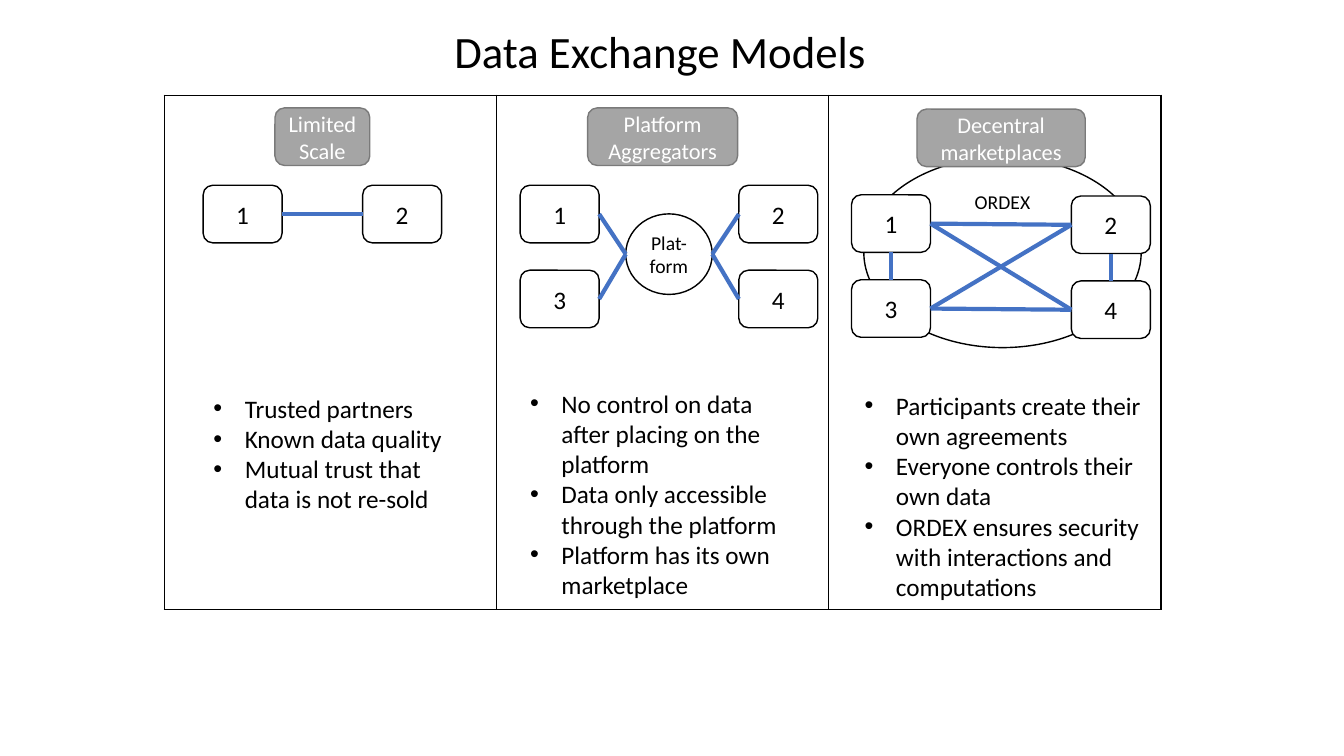
from dataclasses import dataclass, field
from typing import Any

from lxml.etree import SubElement
from pptx import Presentation
from pptx.dml.color import RGBColor
from pptx.enum.shapes import MSO_CONNECTOR as Connector
from pptx.enum.shapes import MSO_SHAPE as Shape
from pptx.enum.text import MSO_ANCHOR as Anchor
from pptx.enum.text import PP_ALIGN as Align
from pptx.oxml.ns import qn
from pptx.util import Cm, Pt

FONT = "Calibri"
BLACK, WHITE, BLUE = "000000", "FFFFFF", "4472C4"
GREY, DARK_GREY = "A5A5A5", "7A7A7A"
TOP, LEFT, BOTTOM, RIGHT = range(4)
NODE_W, NODE_H, ROW_PITCH = 1.99, 1.45, 2.14
BULLET_INDENT = 0.79


@dataclass
class Box:
    """Position and size in centimetres."""
    left: float
    top: float
    width: float
    height: float


@dataclass
class Link:
    begin: str
    begin_side: int
    end: str
    end_side: int


@dataclass
class Model:
    """One column: heading, diagram and remarks."""
    heading: str
    heading_box: Box
    nodes: dict[str, tuple[float, float]]
    links: list[Link]
    remarks: list[str]
    remarks_box: Box
    hubs: dict[str, Box] = field(default_factory=dict)


def grid(left: float, right: float, top: float, drop: float = 0) -> dict[str, tuple[float, float]]:
    """Four nodes in two rows, the right column lowered by drop."""
    return {str(2 * row + col + 1): (x, top + row * ROW_PITCH + col * drop)
            for row in range(2) for col, x in enumerate((left, right))}


MODELS = [
    Model("Limited\nScale", Box(6.93, 2.72, 2.39, NODE_H),
          {"1": (5.12, 4.67), "2": (9.14, 4.67)},
          [Link("1", RIGHT, "2", LEFT)],
          ["Trusted partners", "Known data quality",
           "Mutual trust that data is not re-sold"],
          Box(5.13, 9.78, 6.81, 3.33)),
    Model("Platform Aggregators", Box(14.81, 2.72, 3.78, NODE_H),
          grid(13.11, 18.62, 4.67),
          [Link("1", RIGHT, "Plat-form", LEFT), Link("3", RIGHT, "Plat-form", LEFT),
           Link("2", LEFT, "Plat-form", RIGHT), Link("4", LEFT, "Plat-form", RIGHT)],
          ["No control on data after placing on the platform",
           "Data only accessible through the platform",
           "Platform has its own marketplace"],
          Box(13.11, 9.65, 6.81, 5.64),
          {"Plat-form": Box(15.77, 5.39, 2.18, 2.03)}),
    Model("Decentral\nmarketplaces", Box(23.11, 2.75, 4.24, NODE_H),
          grid(21.46, 27, 4.91, 0.03),
          [Link("1", BOTTOM, "3", TOP), Link("3", RIGHT, "4", LEFT),
           Link("2", LEFT, "3", RIGHT), Link("4", TOP, "2", BOTTOM),
           Link("2", LEFT, "1", RIGHT), Link("4", LEFT, "1", RIGHT)],
          ["Participants create their own agreements",
           "Everyone controls their own data",
           "ORDEX ensures security with interactions and computations"],
          Box(21.54, 9.7, 7.9, 5.64)),
]


def rgb(color: str) -> RGBColor:
    return RGBColor.from_string(color)


def apply(target: Any, values: dict[str, Any]) -> None:
    for name, value in values.items():
        setattr(target, name, value)


def place(box: Box) -> tuple[Cm, Cm, Cm, Cm]:
    return Cm(box.left), Cm(box.top), Cm(box.width), Cm(box.height)


def write(paragraph: Any, text: str, size: float, color: str = BLACK) -> None:
    paragraph.text = text
    for run in paragraph.runs:
        apply(run.font, {"name": FONT, "size": Pt(size)})
        run.font.color.rgb = rgb(color)


def add_label(slide: Any, kind: Shape, box: Box, text: str, size: float,
              fill: str = WHITE, line: str = BLACK, color: str = BLACK,
              anchor: Anchor = Anchor.MIDDLE) -> Any:
    label = slide.shapes.add_shape(kind, *place(box))
    label.shadow.inherit = False
    label.fill.solid()
    label.fill.fore_color.rgb = rgb(fill)
    label.line.color.rgb = rgb(line)
    label.line.width = Pt(1)
    apply(label.text_frame, {"word_wrap": True, "vertical_anchor": anchor})
    paragraph = label.text_frame.paragraphs[0]
    paragraph.alignment = Align.CENTER
    write(paragraph, text, size, color)
    return label


def side_point(shape: Any, side: int) -> tuple[int, int]:
    mid_x, mid_y = shape.left + shape.width // 2, shape.top + shape.height // 2
    return {TOP: (mid_x, shape.top), LEFT: (shape.left, mid_y),
            BOTTOM: (mid_x, shape.top + shape.height),
            RIGHT: (shape.left + shape.width, mid_y)}[side]


def add_link(slide: Any, link: Link, parts: dict[str, Any]) -> None:
    begin, end = parts[link.begin], parts[link.end]
    line = slide.shapes.add_connector(
        Connector.STRAIGHT, *side_point(begin, link.begin_side), *side_point(end, link.end_side))
    line.line.color.rgb = rgb(BLUE)
    line.line.width = Pt(3)
    SubElement(line._element.spPr, qn("a:effectLst"))
    line.begin_connect(begin, link.begin_side)
    if end.auto_shape_type == Shape.ROUNDED_RECTANGLE:
        line.end_connect(end, link.end_side)


def add_remarks(slide: Any, remarks: list[str], box: Box) -> None:
    frame = slide.shapes.add_textbox(*place(box)).text_frame
    frame.word_wrap = True
    for index, remark in enumerate(remarks):
        paragraph = frame.add_paragraph() if index else frame.paragraphs[0]
        write(paragraph, remark, 18)
        properties = paragraph._p.get_or_add_pPr()
        properties.set("marL", str(Cm(BULLET_INDENT)))
        properties.set("indent", str(-Cm(BULLET_INDENT)))
        SubElement(properties, qn("a:buFont"), typeface="Arial")
        SubElement(properties, qn("a:buChar"), char="•")


def add_frame(slide: Any, box: Box, columns: int) -> None:
    table = slide.shapes.add_table(1, columns, *place(box)).table
    apply(table, {"first_row": False, "horz_banding": False})
    for cell in table.iter_cells():
        properties = cell._tc.get_or_add_tcPr()
        for edge in ("lnL", "lnR", "lnT", "lnB"):
            border = SubElement(properties, qn(f"a:{edge}"), w=str(Pt(1)))
            fill = SubElement(border, qn("a:solidFill"))
            SubElement(fill, qn("a:srgbClr"), val=BLACK)
        cell.fill.background()


def add_model(slide: Any, model: Model) -> None:
    parts = {name: add_label(slide, Shape.ROUNDED_RECTANGLE,
                             Box(left, top, NODE_W, NODE_H), name, 18)
             for name, (left, top) in model.nodes.items()}
    for name, box in model.hubs.items():
        parts[name] = add_label(slide, Shape.OVAL, box, name, 14)
    for link in model.links:
        add_link(slide, link, parts)
    add_label(slide, Shape.ROUNDED_RECTANGLE, model.heading_box, model.heading, 16,
              GREY, DARK_GREY, WHITE)
    add_remarks(slide, model.remarks, model.remarks_box)


def main() -> None:
    deck = Presentation()
    apply(deck, {"slide_width": Cm(33.87), "slide_height": Cm(19.05)})
    slide = deck.slides.add_slide(deck.slide_layouts[6])

    # Marketplace ring behind the three-column frame
    add_label(slide, Shape.OVAL, Box(21.77, 3.96, 6.99, 4.8), "ORDEX", 14, anchor=Anchor.TOP)
    add_frame(slide, Box(4.14, 2.4, 25.12, 12.95), len(MODELS))

    # Title
    title = slide.shapes.add_textbox(*place(Box(11.2, 0.48, 11, 1.63))).text_frame
    title.word_wrap = False
    write(title.paragraphs[0], "Data Exchange Models", 32)

    # Exchange models
    for model in MODELS:
        add_model(slide, model)

    deck.save("out.pptx")


if __name__ == "__main__":
    main()
